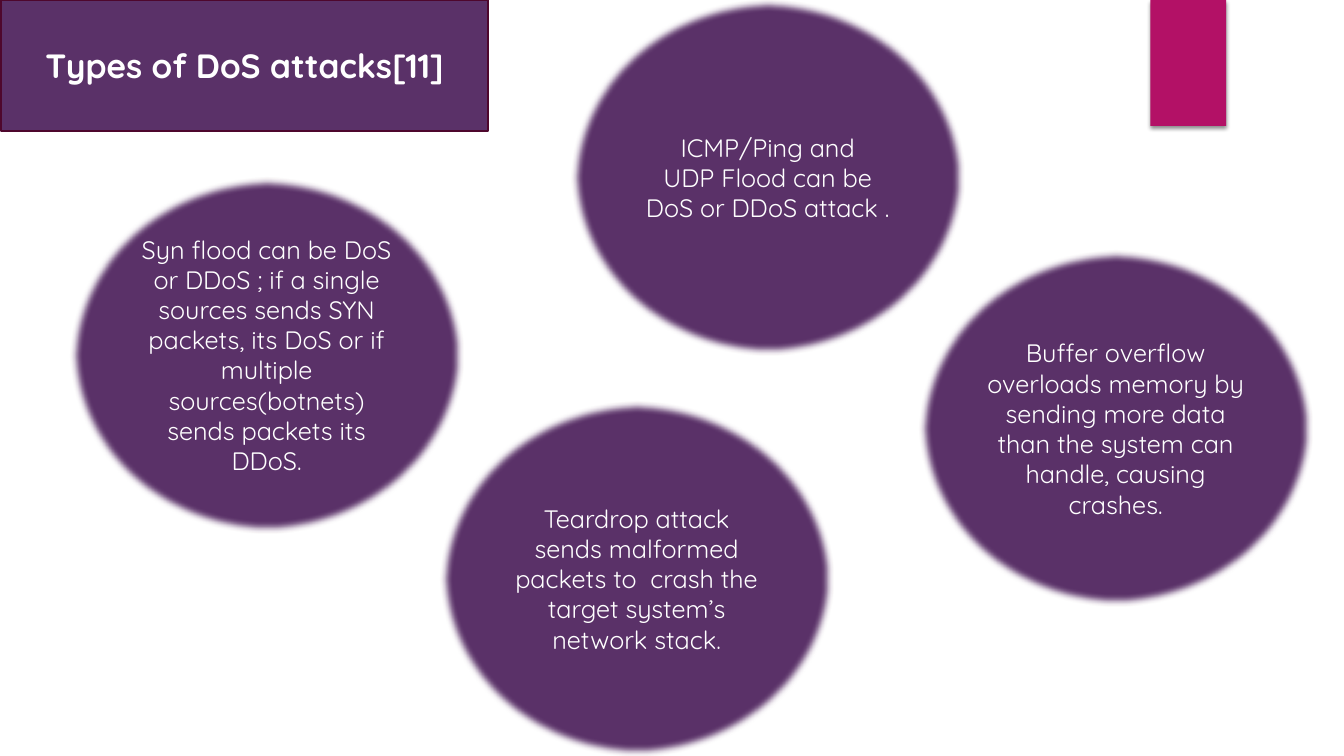
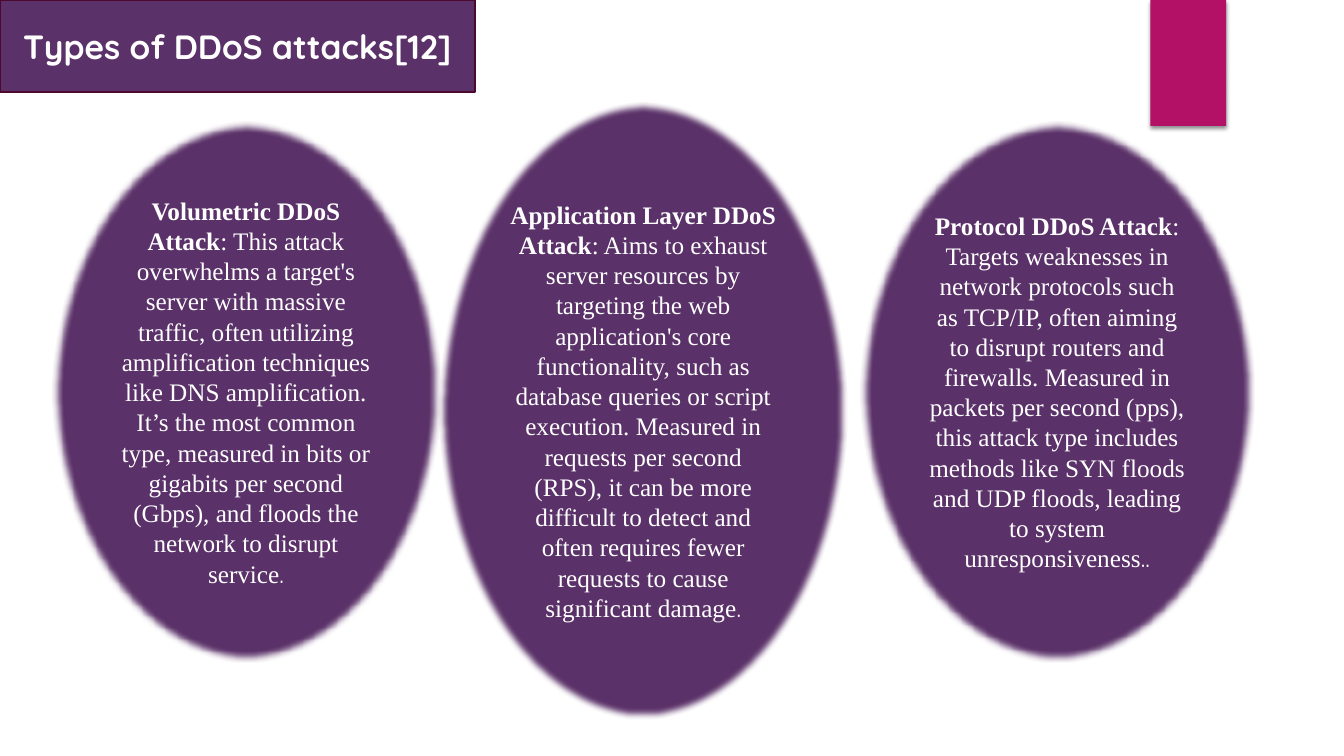
from dataclasses import dataclass
from typing import NamedTuple

from lxml.etree import SubElement
from pptx import Presentation
from pptx.dml.color import RGBColor
from pptx.enum.shapes import MSO_SHAPE
from pptx.enum.text import MSO_ANCHOR, MSO_AUTO_SIZE, PP_ALIGN
from pptx.oxml.ns import qn
from pptx.util import Inches, Pt

WIDTH, HEIGHT = Inches(13.33), Inches(7.5)
COLORS = {"panel": "5A3168", "edge": "4E072D", "accent": "B31166",
          "text": "FFFFFF", "shadow": "000000"}
SANS, SERIF = "Quicksand", "Times New Roman"
TITLE_FORMAT = {"name": SANS, "size": Pt(24), "bold": True}
SANS_FORMAT = {"name": SANS, "size": Pt(18), "bold": False}
SERIF_FORMAT = SANS_FORMAT | {"name": SERIF}
LEAD_FORMAT = SERIF_FORMAT | {"bold": True}
FRAME_FORMAT = {"word_wrap": True, "auto_size": MSO_AUTO_SIZE.NONE,
                "vertical_anchor": MSO_ANCHOR.MIDDLE,
                "margin_left": Inches(0.1), "margin_right": Inches(0.1),
                "margin_top": Inches(0.05), "margin_bottom": Inches(0.05)}


class Box(NamedTuple):
    """Percentages of the slide's width and height."""
    left: float
    top: float
    width: float
    height: float

    def lengths(self) -> dict:
        sides = (WIDTH, HEIGHT, WIDTH, HEIGHT)
        return {name: round(side * share / 100)
                for name, share, side in zip(self._fields, self, sides)}


class Span(NamedTuple):
    text: str
    style: dict


@dataclass(frozen=True)
class Disc:
    box: Box
    paragraphs: list[list[Span]]


@dataclass(frozen=True)
class Page:
    title: str
    title_box: Box
    discs: list[Disc]


def small_disc(left: float, top: float, *lines: str) -> Disc:
    return Disc(Box(left, top, 29.18, 46.93),
                [[Span(line, SANS_FORMAT)] for line in lines])


def tall_disc(box: Box, lead: str, body: str, end: str = ".") -> Disc:
    return Disc(box, [[Span(lead, LEAD_FORMAT), Span(body, SERIF_FORMAT),
                       Span(end, SANS_FORMAT)]])


ACCENT_BOX = Box(85.6, 0, 5.63, 16.67)
PAGES = [
    Page("Types of DoS attacks[11]", Box(0.08, 0, 36.23, 17.33), [
        small_disc(5.25, 23.47,
                   "Syn flood can be DoS or DDoS ; if a single sources sends SYN packets, "
                   "its DoS or if multiple sources(botnets) sends packets its DDoS."),
        small_disc(42.53, 0, "ICMP/Ping and", "UDP Flood can be DoS or DDoS attack ."),
        small_disc(68.42, 33.2,
                   "Buffer overflow overloads memory by sending more data than the "
                   "system can handle, causing crashes."),
        small_disc(32.78, 53.07,
                   "Teardrop attack sends malformed packets to  crash the target "
                   "system’s network stack."),
    ]),
    Page("Types of DDoS attacks[12]", Box(0, 0, 35.33, 12.13), [
        tall_disc(Box(3.9, 16.13, 28.81, 71.33), "Volumetric DDoS Attack",
                  ": This attack overwhelms a target's server with massive traffic, often "
                  "utilizing amplification techniques like DNS amplification. It’s the most "
                  "common type, measured in bits or gigabits per second (Gbps), and floods "
                  "the network to disrupt service"),
        tall_disc(Box(64.07, 16.13, 29.18, 71.33), "Protocol DDoS Attack",
                  ": Targets weaknesses in network protocols such as TCP/IP, often aiming to "
                  "disrupt routers and firewalls. Measured in packets per second (pps), this "
                  "attack type includes methods like SYN floods and UDP floods, leading to "
                  "system unresponsiveness", ".."),
        tall_disc(Box(32.71, 13.6, 30.31, 81.47), "Application Layer DDoS Attack",
                  ": Aims to exhaust server resources by targeting the web application's core "
                  "functionality, such as database queries or script execution. Measured in "
                  "requests per second (RPS), it can be more difficult to detect and often "
                  "requires fewer requests to cause significant damage"),
    ]),
]


def rgb(name: str) -> RGBColor:
    return RGBColor.from_string(COLORS[name])


def apply(target, values: dict) -> None:
    for name, value in values.items():
        setattr(target, name, value)


def add_effect(sp, tag: str, **values) -> object:
    sp.shadow.inherit = False
    effects = sp._element.spPr.find(qn("a:effectLst"))
    return SubElement(effects, qn(tag), {k: str(v) for k, v in values.items()})


def paint_panel(sp) -> None:
    sp.fill.solid()
    sp.fill.fore_color.rgb = rgb("panel")
    sp.line.color.rgb = rgb("edge")
    sp.line.width = Pt(1.5)


def write_text(sp, paragraphs: list[list[Span]]) -> None:
    tf = sp.text_frame
    apply(tf, FRAME_FORMAT)
    for i, spans in enumerate(paragraphs):
        p = tf.add_paragraph() if i else tf.paragraphs[0]
        p.alignment = PP_ALIGN.CENTER
        for span in spans:
            r = p.add_run()
            r.text = span.text
            apply(r.font, span.style)
            r.font.color.rgb = rgb("text")


def add_title(slide, page: Page) -> None:
    sp = slide.shapes.title
    apply(sp, page.title_box.lengths())
    geometry = SubElement(sp._element.spPr, qn("a:prstGeom"), prst="roundRect")
    SubElement(geometry, qn("a:avLst"))
    paint_panel(sp)
    write_text(sp, [[Span(page.title, TITLE_FORMAT)]])


def add_disc(slide, disc: Disc) -> None:
    sp = slide.shapes.add_shape(MSO_SHAPE.OVAL, **disc.box.lengths())
    paint_panel(sp)
    add_effect(sp, "a:softEdge", rad=Pt(5))
    write_text(sp, disc.paragraphs)


def move_accent_to_layout(slide, layout) -> None:
    sp = slide.shapes.add_shape(MSO_SHAPE.RECTANGLE, **ACCENT_BOX.lengths())
    sp.fill.solid()
    sp.fill.fore_color.rgb = rgb("accent")
    sp.line.fill.background()
    shadow = add_effect(sp, "a:outerShdw", blurRad=Pt(3), dist=Pt(2),
                        dir=90 * 60000, rotWithShape=0)
    color = SubElement(shadow, qn("a:srgbClr"), val=COLORS["shadow"])
    SubElement(color, qn("a:alpha"), val="45000")
    sp._element.nvSpPr.cNvPr.set("id", "99")
    layout.shapes._spTree.append(sp._element)


def main() -> None:
    prs = Presentation()
    apply(prs, {"slide_width": WIDTH, "slide_height": HEIGHT})
    layout = prs.slide_layouts.get_by_name("Title Only")
    for i, page in enumerate(PAGES):
        slide = prs.slides.add_slide(layout)
        if i == 0:
            move_accent_to_layout(slide, layout)
        add_title(slide, page)
        for disc in page.discs:
            add_disc(slide, disc)
    prs.save("out.pptx")


if __name__ == "__main__":
    main()
